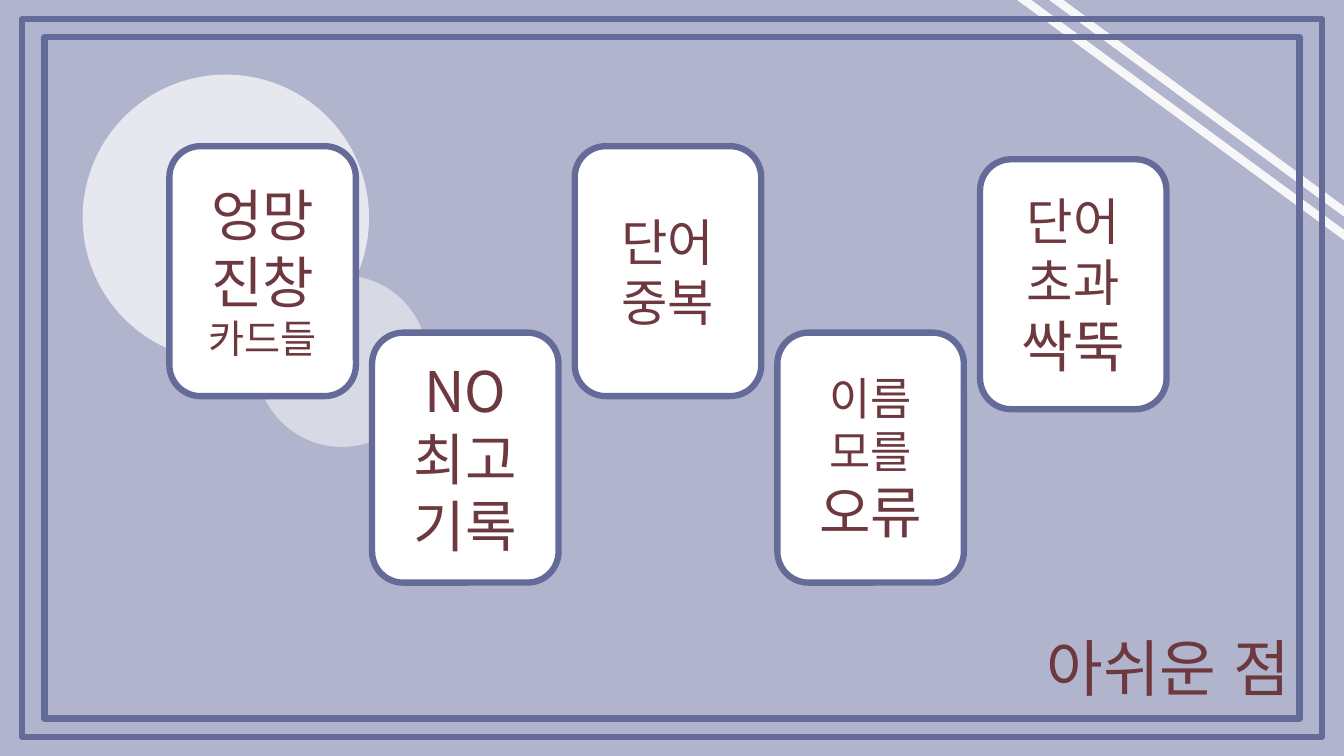
from pptx import Presentation
from pptx.dml.color import RGBColor
from pptx.enum.lang import MSO_LANGUAGE_ID as Lang
from pptx.enum.shapes import MSO_CONNECTOR as Connector, MSO_SHAPE as Shape
from pptx.enum.text import MSO_ANCHOR as Anchor, PP_ALIGN as Align
from pptx.oxml.ns import qn
from pptx.util import Inches, Pt
from lxml.etree import SubElement

W, H = 13.33, 7.5
FONT = "Noto Sans CJK KR"
BACK, EDGE, WHITE, TEXT = "B0B4CC", "646B99", "FFFFFF", "6D383E"
EDGE_PT = 4.5

CARD_W, CARD_H = 1.85, 2.48
CARD_LEFT, CARD_STEP = 1.68, 2.01
CARDS = [  # top, then (text, size) for each paragraph
    (1.45, [("엉망진창", 40), ("카드들", 28)]),
    (3.3, [("NO", 40), ("최고기록", 40)]),
    (1.45, [("단어 중복", 36)]),
    (3.3, [("이름 모를", 32), ("오류", 40)]),
    (1.58, [("단어 초과", 36), ("싹뚝", 40)]),
]


def paint(fmt, color, alpha=None):
    """Give a fill a solid colour, with an opacity in percent."""
    fmt.solid()
    fmt.fore_color.rgb = RGBColor.from_string(color)
    if alpha is not None:
        clr = fmt._xPr.find(qn("a:solidFill"))[0]
        SubElement(clr, qn("a:alpha"), val=str(alpha * 1000))


def add_shape(s, kind, box, fill=None, alpha=None, line=None):
    sp = s.shapes.add_shape(kind, *map(Inches, box))
    sp.shadow.inherit = False
    if fill:
        paint(sp.fill, fill, alpha)
    else:
        sp.fill.background()
    if line:
        paint(sp.line.fill, line)
        sp.line.width = Pt(EDGE_PT)
    else:
        sp.line.fill.background()
    return sp


def write(sp, paragraphs, align, spacing=None):
    tf = sp.text_frame
    tf.word_wrap = True
    tf.vertical_anchor = Anchor.MIDDLE
    for i, (text, size) in enumerate(paragraphs):
        p = tf.add_paragraph() if i else tf.paragraphs[0]
        p.alignment, p.line_spacing = align, spacing
        r = p.add_run()
        r.text = text
        formats = {"size": Pt(size), "name": FONT, "language_id": Lang.KOREAN}
        for name, value in formats.items():
            setattr(r.font, name, value)
        paint(r.font.fill, TEXT)
        SubElement(r.font._element, qn("a:ea"), typeface=FONT)


def add_stripes(s, left, top, width, height):
    """Two parallel diagonals, the second shifted up and right."""
    for dx, dy in [(0, 0), (0.1, -0.16)]:
        x, y = left + dx, top + dy
        ends = map(Inches, (x, y, x + width, y + height))
        cx = s.shapes.add_connector(Connector.STRAIGHT, *ends)
        paint(cx.line.fill, WHITE, 90)
        cx.line.width = Pt(6)
        SubElement(cx._element.spPr, qn("a:effectLst"))


def add_circles(s, left, top, size):
    """A large circle over a smaller one at its lower right."""
    small = 0.6 * size
    add_shape(s, Shape.OVAL, (left + 1.72, top + 1.99, small, small), WHITE, 50)
    add_shape(s, Shape.OVAL, (left, top, size, size), WHITE, 70)


def add_frames(s):
    for x, y in [(0.44, 0.37), (0.22, 0.19)]:
        add_shape(s, Shape.RECTANGLE, (x, y, W - 2 * x, H - 2 * y), line=EDGE)


def add_title(s, text, box):
    tb = s.shapes.add_textbox(*map(Inches, box))
    write(tb, [(text, 44)], Align.RIGHT, 0.9)


def add_cards(s):
    for i, (top, paragraphs) in enumerate(CARDS):
        box = (CARD_LEFT + i * CARD_STEP, top, CARD_W, CARD_H)
        card = add_shape(s, Shape.ROUNDED_RECTANGLE, box, WHITE, line=EDGE)
        write(card, paragraphs, Align.CENTER)


def main():
    prs = Presentation()
    prs.slide_width, prs.slide_height = Inches(W), Inches(H)
    s = prs.slides.add_slide(prs.slide_layouts[6])
    paint(s.background.fill, BACK)
    add_stripes(s, 9.9, -0.19, 3.7, 2.72)
    add_circles(s, 0.82, 0.74, 2.84)
    add_frames(s)
    add_title(s, "아쉬운 점", (1.4, 5.94, 11.5, 1.45))
    add_cards(s)
    prs.save("out.pptx")


if __name__ == "__main__":
    main()
